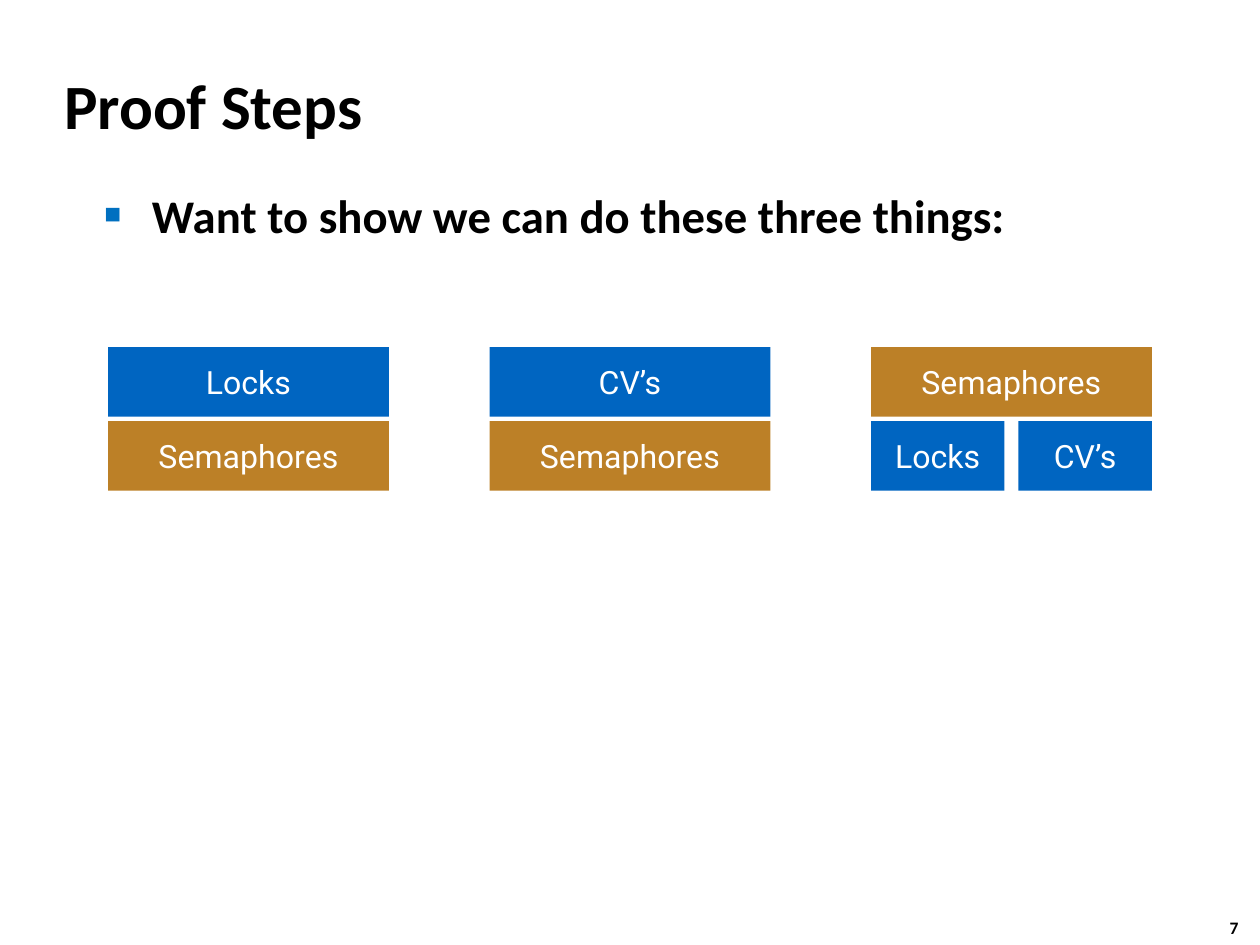
import pptx
import pptx.util
import pptx.dml.color
import pptx.enum.shapes
import pptx.enum.text
import pptx.oxml
import pptx.oxml.ns

Cm = pptx.util.Cm
Pt = pptx.util.Pt
RGB = pptx.dml.color.RGBColor
ALIGN = pptx.enum.text.PP_ALIGN
ANCHOR = pptx.enum.text.MSO_ANCHOR

BLUE = RGB(0x00, 0x65, 0xC1)
GOLD = RGB(0xBC, 0x80, 0x27)
WHITE = RGB(0xFF, 0xFF, 0xFF)
BLACK = RGB(0x00, 0x00, 0x00)
FILLS = {"Locks": BLUE, "CV’s": BLUE, "Semaphores": GOLD}

LEFT, TOP = 2.18, 7.0
WIDE, HIGH = 5.66, 1.4
STEP, DROP = 7.69, 1.49
GAP = 0.28
STACKS = [
    [["Locks"], ["Semaphores"]],
    [["CV’s"], ["Semaphores"]],
    [["Semaphores"], ["Locks", "CV’s"]],
]


def place(shape, x, y, w, h):
    shape.left, shape.top = Cm(x), Cm(y)
    shape.width, shape.height = Cm(w), Cm(h)


def write(frame, text, face, size, color, bold=False, align=ALIGN.LEFT):
    frame.text = text
    frame.word_wrap = True
    frame.auto_size = pptx.enum.text.MSO_AUTO_SIZE.NONE
    para = frame.paragraphs[0]
    para.alignment = align
    font = para.font
    font.name, font.size, font.bold = face, Pt(size), bold
    font.color.rgb = color
    return para


def add_title(slide, text):
    shape = slide.shapes.title
    place(shape, 1.04, 1.04, 21.08, 2.11)
    write(shape.text_frame, text, "Calibri", 36, BLACK, True)
    shape.text_frame.vertical_anchor = ANCHOR.MIDDLE


def add_bullet(slide, text):
    shape = slide.placeholders[1]
    place(shape, 1.85, 3.63, 21.69, 1.78)
    para = write(shape.text_frame, text, "Calibri", 26.7, BLACK, True)
    props = para._p.get_or_add_pPr()
    props.set("marL", str(Cm(0.96)))
    props.set("indent", str(Cm(-0.96)))
    space = pptx.oxml.ns.nsdecls("a")
    marks = [
        f'<a:buClr {space}><a:srgbClr val="0070C0"/></a:buClr>',
        f'<a:buSzPct {space} val="60000"/>',
        f'<a:buFont {space} typeface="Arial"/>',
        f'<a:buChar {space} char="■"/>',
    ]
    for spot, mark in enumerate(marks):
        props.insert(spot, pptx.oxml.parse_xml(mark))


def add_block(slide, text, x, y, w):
    kind = pptx.enum.shapes.MSO_SHAPE.RECTANGLE
    shape = slide.shapes.add_shape(kind, Cm(x), Cm(y), Cm(w), Cm(HIGH))
    shape.shadow.inherit = False
    shape.fill.solid()
    shape.fill.fore_color.rgb = FILLS[text]
    shape.line.fill.background()
    frame = shape.text_frame
    frame.margin_left = frame.margin_right = 0
    frame.margin_top = frame.margin_bottom = 0
    frame.vertical_anchor = ANCHOR.MIDDLE
    write(frame, text, "Roboto", 18.3, WHITE, align=ALIGN.CENTER)


def add_stack(slide, rows, x):
    for row, names in enumerate(rows):
        width = (WIDE - GAP * (len(names) - 1)) / len(names)
        for col, name in enumerate(names):
            add_block(slide, name, x + col * (width + GAP), TOP + row * DROP, width)


def add_number(slide, text):
    box = slide.shapes.add_textbox(Cm(24.54), Cm(18.36), Cm(0.86), Cm(0.69))
    write(box.text_frame, text, "Calibri", 10, BLACK, True)


def main():
    deck = pptx.Presentation()
    deck.slide_width, deck.slide_height = Cm(25.4), Cm(19.05)
    slide = deck.slides.add_slide(deck.slide_layouts[1])
    add_number(slide, "7")
    add_title(slide, "Proof Steps")
    add_bullet(slide, "Want to show we can do these three things:")
    for col, rows in enumerate(STACKS):
        add_stack(slide, rows, LEFT + col * STEP)
    deck.save("out.pptx")


if __name__ == "__main__":
    main()
